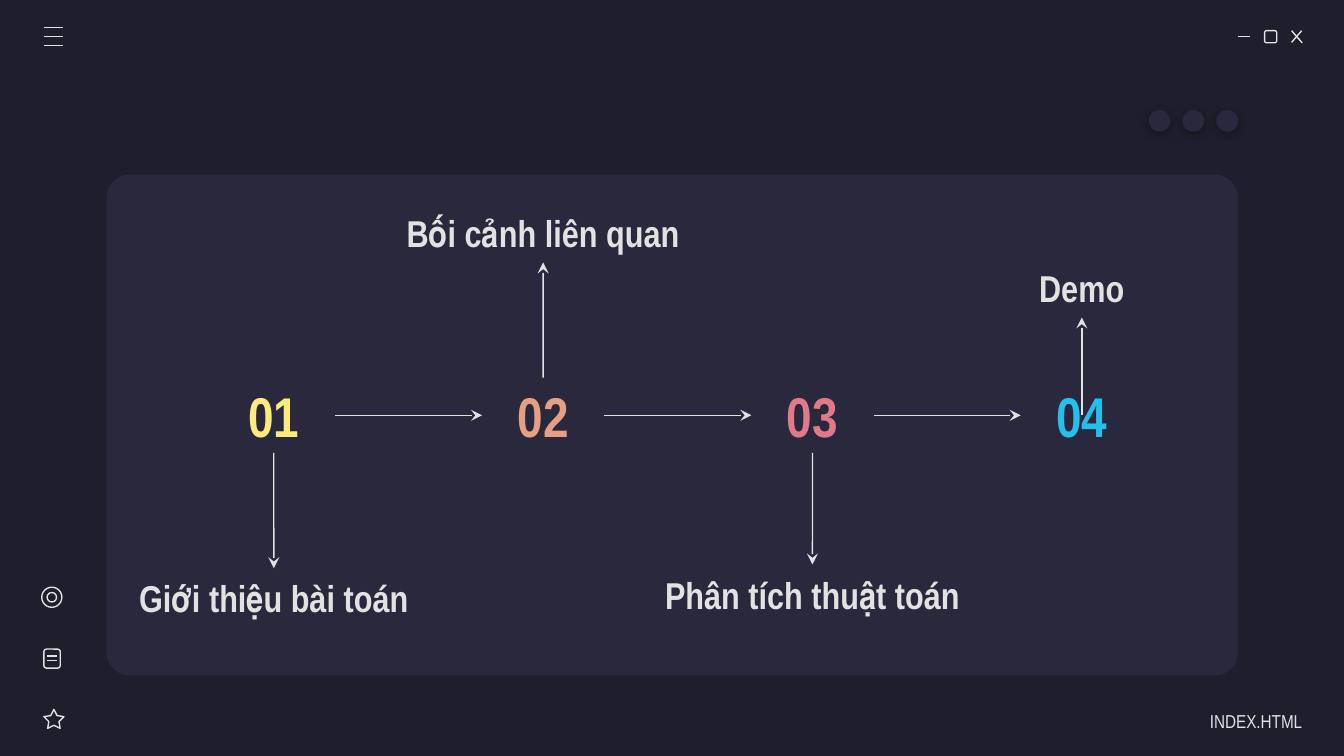
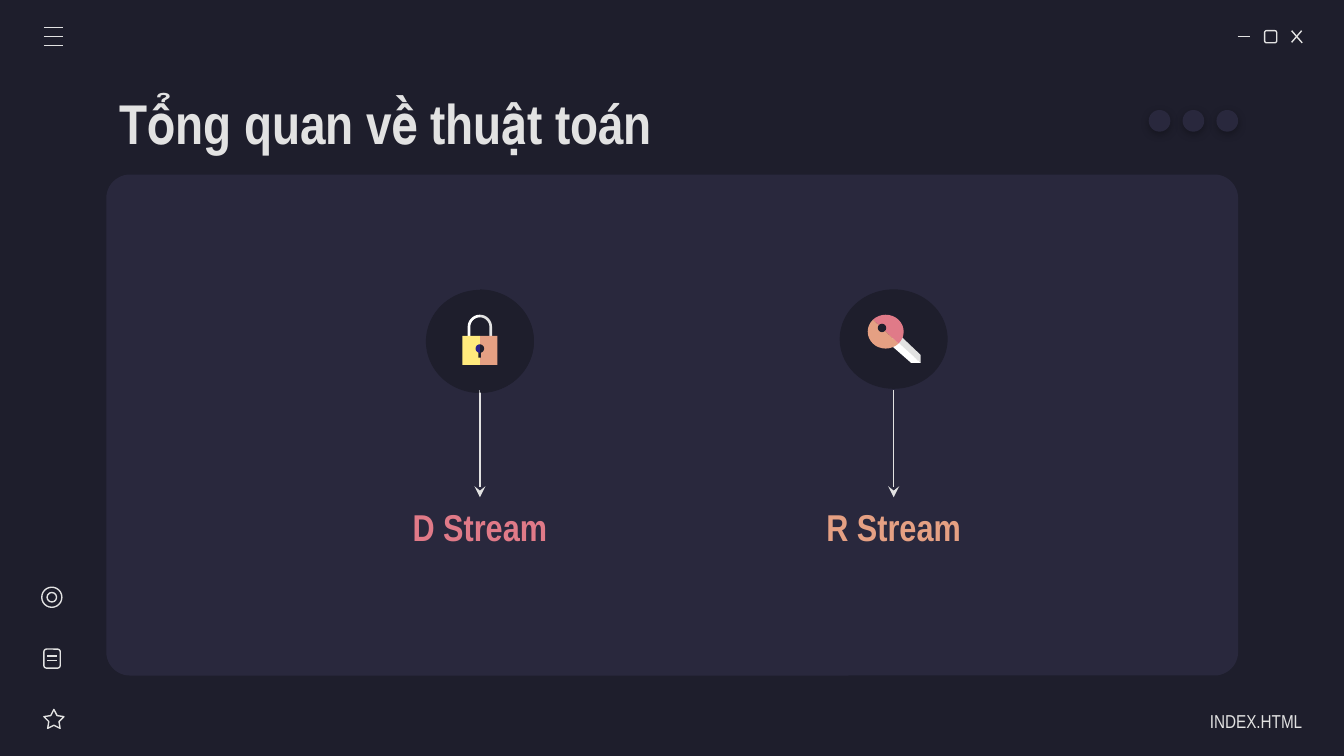
from math import cos, radians, sin

from lxml import etree
from pptx import Presentation
from pptx.dml.color import RGBColor
from pptx.enum.shapes import MSO_CONNECTOR, MSO_SHAPE
from pptx.enum.text import MSO_ANCHOR, PP_ALIGN
from pptx.oxml.ns import qn
from pptx.util import Cm, Pt

STRAIGHT = MSO_CONNECTOR.STRAIGHT
ELLIPSE = MSO_SHAPE.OVAL
RECTANGLE = MSO_SHAPE.RECTANGLE
ROUNDED = MSO_SHAPE.ROUNDED_RECTANGLE
STAR = MSO_SHAPE.STAR_5_POINT
PIE = MSO_SHAPE.PIE
MIDDLE = MSO_ANCHOR.MIDDLE
LEFT, CENTER, RIGHT = PP_ALIGN.LEFT, PP_ALIGN.CENTER, PP_ALIGN.RIGHT
TOP_SIDE, LEFT_SIDE, BOTTOM_SIDE, RIGHT_SIDE = range(4)

COLORS = {
    "background": "1E1E2C",
    "panel": "29283D",
    "light": "E2E2E2",
    "white": "FFFFFF",
    "yellow": "FFEA7D",
    "orange": "E5A083",
    "pink": "E07A88",
    "blue": "24BFEB",
    "indigo": "2B218D",
    "shadow": "000000",
}
FONT = "Arial Narrow"
LINE_WIDTH = Pt(0.75)

TITLE = {"size": Pt(30), "bold": True}
LABEL = {"size": Pt(20), "bold": True}
FOOTER = {"size": Pt(10), "bold": False}
LABEL_HEIGHT = 1.12


def rgb(name):
    return RGBColor.from_string(COLORS[name])


def style_shape(shape, fill=None, line=None):
    shape.shadow.inherit = False
    if fill:
        shape.fill.solid()
        shape.fill.fore_color.rgb = rgb(fill)
    else:
        shape.fill.background()
    if line:
        shape.line.color.rgb = rgb(line)
        shape.line.width = LINE_WIDTH
    else:
        shape.line.fill.background()
    return shape


def add_preset(slide, preset, box, fill=None, line=None, adjustments=()):
    shape = slide.shapes.add_shape(preset, *map(Cm, box))
    for index, value in enumerate(adjustments):
        shape.adjustments[index] = value
    return style_shape(shape, fill, line)


def add_outline(slide, points, fill):
    corners = [(Cm(x), Cm(y)) for x, y in points]
    builder = slide.shapes.build_freeform(*corners[0])
    builder.add_line_segments(corners[1:], close=True)
    return style_shape(builder.convert_to_shape(), fill)


def arc(center, radii, start, end, steps=16):
    """Points on an ellipse, with angles clockwise from the right."""
    angles = [radians(start + (end - start) * i / steps) for i in range(steps + 1)]
    return [(center[0] + radii[0] * cos(a), center[1] + radii[1] * sin(a))
            for a in angles]


def add_line(slide, begin, end):
    line = slide.shapes.add_connector(STRAIGHT, *map(Cm, (*begin, *end)))
    line.line.color.rgb = rgb("light")
    line.line.width = LINE_WIDTH
    etree.SubElement(line._element.spPr, qn("a:effectLst"))
    return line


def add_arrow(slide, begin, end):
    """Each end is a point, or a (shape, side) pair to join."""
    joins = [not isinstance(place[0], (int, float)) for place in (begin, end)]
    points = [(0, 0) if joined else place
              for joined, place in zip(joins, (begin, end))]
    arrow = add_line(slide, *points)
    if joins[0]:
        arrow.begin_connect(*begin)
    if joins[1]:
        arrow.end_connect(*end)
    line_xml = arrow.line._get_or_add_ln()
    etree.SubElement(line_xml, qn("a:tailEnd"), type="stealth")
    return arrow


def add_text(slide, text, box, font, color="light", align=CENTER, right=0.25,
             spacing=1.0):
    shape = slide.shapes.add_textbox(*map(Cm, box))
    frame = shape.text_frame
    frame_format = {
        "word_wrap": True,
        "vertical_anchor": MIDDLE,
        "margin_left": Cm(0.25),
        "margin_top": Cm(0.25),
        "margin_right": Cm(right),
        "margin_bottom": Cm(0.25),
    }
    for name, value in frame_format.items():
        setattr(frame, name, value)
    paragraph = frame.paragraphs[0]
    paragraph.alignment = align
    paragraph.line_spacing = spacing
    run = paragraph.add_run()
    run.text = text
    for name, value in {"name": FONT, **font}.items():
        setattr(run.font, name, value)
    run.font.color.rgb = rgb(color)
    return shape


def add_label(slide, text, center, top, width, color="light"):
    box = (center - width / 2, top, width, LABEL_HEIGHT)
    return add_text(slide, text, box, LABEL, color)


def add_soft_shadow(shape):
    effects = shape._element.spPr.find(qn("a:effectLst"))
    shadow = etree.SubElement(effects, qn("a:outerShdw"), blurRad=str(Pt(4.5)),
                              dist=str(Pt(1.5)), dir=str(90 * 60000),
                              algn="bl", rotWithShape="0")
    color = etree.SubElement(shadow, qn("a:srgbClr"), val=COLORS["shadow"])
    etree.SubElement(color, qn("a:alpha"), val="30000")


def add_window_frame(slide):
    # Panel
    add_preset(slide, ROUNDED, (2.01, 3.3, 21.39, 9.47), "panel",
               adjustments=[0.047])
    # Window buttons
    add_line(slide, (23.39, 0.69), (23.62, 0.69))
    add_preset(slide, ROUNDED, (23.9, 0.58, 0.23, 0.23), line="light")
    add_line(slide, (24.41, 0.58), (24.61, 0.81))
    add_line(slide, (24.6, 0.58), (24.41, 0.8))
    # Menu
    for row in range(3):
        y = 0.52 + 0.17 * row
        add_line(slide, (0.83, y), (1.2, y))
    # Side icons: target, page, star
    add_preset(slide, ELLIPSE, (0.79, 11.1, 0.38, 0.38), line="light")
    add_preset(slide, ELLIPSE, (0.89, 11.2, 0.18, 0.18), line="light")
    add_preset(slide, ROUNDED, (0.83, 12.27, 0.31, 0.36), line="light")
    for y in (12.4, 12.49):
        add_line(slide, (0.89, y), (1.07, y))
    add_preset(slide, STAR, (0.83, 13.41, 0.38, 0.36), line="light",
               adjustments=[0.254])
    # Footer
    add_text(slide, "INDEX.HTML", (21.64, 13.21, 2.97, 0.76), FOOTER,
             align=RIGHT, right=0, spacing=1.15)
    # Dots
    for column in range(3):
        dot = add_preset(slide, ELLIPSE, (21.71 + 0.64 * column, 2.08, 0.41, 0.41),
                         "panel")
        add_soft_shadow(dot)


def new_slide(presentation):
    slide = presentation.slides.add_slide(presentation.slide_layouts[6])
    slide.background.fill.solid()
    slide.background.fill.fore_color.rgb = rgb("background")
    add_window_frame(slide)
    return slide


def add_lock(slide):
    middle = 9.07
    # Shackle halves
    for fill, side in (("light", 0), ("white", 180)):
        outer = arc((middle, 6.18), (0.23, 0.23), side, 270)
        inner = arc((middle, 6.18), (0.18, 0.18), 270, side)
        if side == 0:
            outer = arc((middle, 6.18), (0.23, 0.23), 360, 270)
            inner = arc((middle, 6.18), (0.18, 0.18), 270, 360)
        feet = [(inner[-1][0], 6.4), (outer[0][0], 6.4)]
        add_outline(slide, outer + inner + feet, fill)
    # Body halves
    for fill, left in (("orange", middle), ("yellow", middle - 0.33)):
        add_preset(slide, RECTANGLE, (left, 6.35, 0.33, 0.55), fill)
    # Keyhole
    add_preset(slide, RECTANGLE, (9.04, 6.62, 0.05, 0.14), "background")
    for fill, start in (("background", -90), ("indigo", 90)):
        add_outline(slide, arc((middle, 6.59), (0.08, 0.08), start, start + 180),
                    fill)


def add_key(slide):
    # Blade
    add_outline(slide, [(16.99, 6.32), (16.84, 6.4), (17.4, 6.86), (17.4, 6.71)],
                "light")
    add_outline(slide, [(16.87, 6.38), (16.81, 6.5), (17.22, 6.86), (17.4, 6.86)],
                "white")
    # Bow halves and hole
    for fill, start in (("pink", 225), ("orange", 45)):
        add_outline(slide, arc((16.74, 6.27), (0.34, 0.32), start, start + 180),
                    fill)
    add_preset(slide, ELLIPSE, (16.59, 6.12, 0.16, 0.16), "background")


def build_agenda(presentation):
    slide = new_slide(presentation)
    width, step, top, height = 2.31, 5.09, 7.14, 1.42
    # Number, colour, topic, topic top, topic width
    topics = [
        ("01", "yellow", "Giới thiệu bài toán", 10.74, 6.1),
        ("02", "orange", "Bối cảnh liên quan", 3.84, 6.05),
        ("03", "pink", "Phân tích thuật toán", 10.67, 6.55),
        ("04", "blue", "Demo", 4.88, 5.0),
    ]
    numbers = []
    for index, (number, color, topic, topic_top, topic_width) in enumerate(topics):
        left = 4.02 + step * index
        center = left + width / 2
        box = add_text(slide, number, (left, top, width, height), TITLE, color)
        label = add_label(slide, topic, center, topic_top, topic_width)
        if topic_top > top:
            add_arrow(slide, (box, BOTTOM_SIDE), (label, TOP_SIDE))
        elif number == "04":
            add_arrow(slide, (center, top + height / 2), (label, BOTTOM_SIDE))
        else:
            add_arrow(slide, (box, TOP_SIDE), (label, BOTTOM_SIDE))
        numbers.append(box)
    for box, following in zip(numbers, numbers[1:]):
        add_arrow(slide, (box, RIGHT_SIDE), (following, LEFT_SIDE))


def build_overview(presentation):
    slide = new_slide(presentation)
    add_text(slide, "Tổng quan về thuật toán", (2.01, 1.5, 20.02, 1.6), TITLE,
             align=LEFT)
    # Name, colour, centre, circle top, circle height
    streams = [
        ("R Stream", "orange", 16.89, 5.47, 1.88),
        ("D Stream", "pink", 9.07, 5.48, 1.95),
    ]
    for name, color, center, top, height in streams:
        add_preset(slide, ELLIPSE, (center - 1.02, top, 2.04, height), "background")
        label = add_label(slide, name, center, 9.4, 3.78, color)
        add_arrow(slide, (center, 7.37), (label, TOP_SIDE))
    half = add_preset(slide, PIE, (8.04, 5.47, 2.05, 1.95), "background",
                      adjustments=[54.386, 162])
    half.rotation = 180
    add_lock(slide)
    add_key(slide)


def main():
    presentation = Presentation()
    presentation.slide_width = Cm(25.4)
    presentation.slide_height = Cm(14.29)
    build_agenda(presentation)
    build_overview(presentation)
    presentation.save("out.pptx")


if __name__ == "__main__":
    main()
